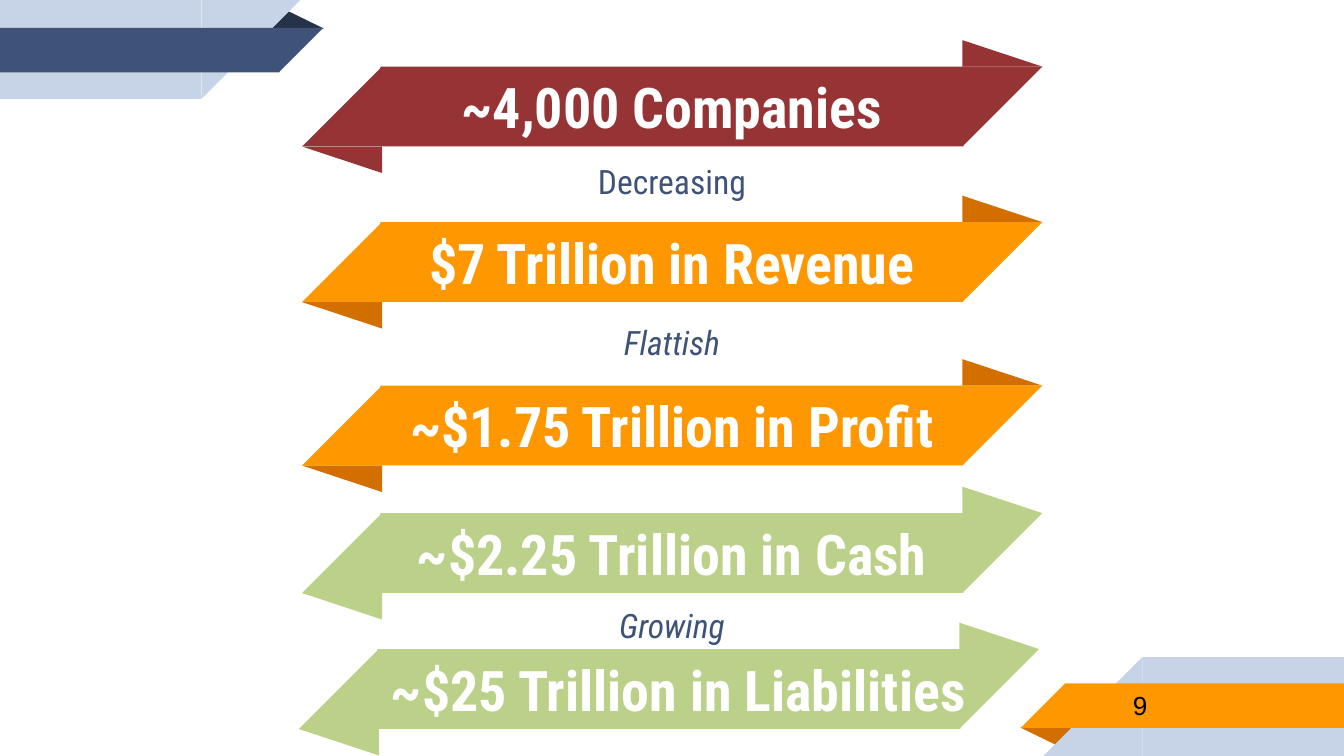
from dataclasses import dataclass
from typing import NamedTuple

from pptx import Presentation
from pptx.dml.color import RGBColor
from pptx.enum.shapes import MSO_SHAPE
from pptx.enum.text import MSO_ANCHOR, PP_ALIGN
from pptx.util import Cm, Pt


@dataclass(frozen=True)
class Theme:
    red: str = "963334"
    orange: str = "FF9800"
    dark_orange: str = "D26F00"
    green: str = "BBD189"
    navy: str = "3F5378"
    dark_navy: str = "263248"
    pale_blue: str = "C7D3E6"
    white: str = "FFFFFF"
    black: str = "000000"
    heading_font: str = "Roboto Condensed"
    number_font: str = "Arial"
    title_size: int = 30
    trend_size: int = 18
    number_size: int = 14


class Box(NamedTuple):
    left: float
    top: float
    width: float
    height: float


class Ribbon(NamedTuple):
    text: str
    left: float
    top: float
    fill: str
    fold: str
    text_width: float = 10.87


class Trend(NamedTuple):
    text: str
    top: float
    height: float
    italic: bool


class Part(NamedTuple):
    kind: MSO_SHAPE
    box: Box
    top_fill: str
    bottom_fill: str


T = Theme()
WIDTH, HEIGHT = 25.4, 14.29
SIDE, FOLD, BODY = 1.51, 0.5, 11.02
BODY_DX, TIP_DX = 1.48, 12.48
TEXT_CENTER = 12.7

RECT = MSO_SHAPE.RECTANGLE
CORNER = MSO_SHAPE.RIGHT_TRIANGLE
TRIANGLE = MSO_SHAPE.ISOSCELES_TRIANGLE

RIBBONS = [
    Ribbon("~4,000 Companies", 5.71, 1.26, T.red, T.red),
    Ribbon("$7 Trillion in Revenue", 5.71, 4.2, T.orange, T.dark_orange),
    Ribbon("~$1.75 Trillion in Profit", 5.71, 7.29, T.orange, T.dark_orange),
    Ribbon("~$2.25 Trillion in Cash", 5.71, 9.7, T.green, T.green),
    Ribbon("~$25 Trillion in Liabilities", 5.65, 12.27, T.green, T.green, 11.89),
]

TRENDS = [
    Trend("Decreasing", 2.77, 1.3, False),
    Trend("Flattish", 5.89, 1.14, True),
    Trend("Growing", 11.25, 1.14, True),
]

CORNER_PARTS = [
    Part(TRIANGLE, Box(5.03, 0.18, 1.09, 0.36), T.dark_navy, T.dark_orange),
    Part(RECT, Box(0, 0, 3.81, 1.87), T.pale_blue, T.pale_blue),
    Part(CORNER, Box(3.81, 0, 1.87, 1.87), T.pale_blue, T.pale_blue),
    Part(RECT, Box(0, 0.53, 5.28, 0.84), T.navy, T.orange),
    Part(CORNER, Box(5.27, 0.53, 0.84, 0.84), T.navy, T.orange),
]


def add_part(shapes, kind: MSO_SHAPE, box: Box, fill: str, turned: bool = False,
             apex: float = 0) -> None:
    sp = shapes.add_shape(kind, *map(Cm, box))
    sp.shadow.inherit = False
    sp.fill.solid()
    sp.fill.fore_color.rgb = RGBColor.from_string(fill)
    sp.line.fill.background()
    if kind == TRIANGLE:
        sp.adjustments[0] = apex
        sp.rotation = 180 if turned else 0
    elif kind == CORNER:
        sp.element.spPr.get_or_add_xfrm().set("flipH" if turned else "flipV", "1")


def add_corner(s, turned: bool) -> None:
    shapes = s.shapes.add_group_shape().shapes
    for part in CORNER_PARTS:
        box = part.box
        if turned:
            box = Box(WIDTH - box.left - box.width, HEIGHT - box.top - box.height,
                      box.width, box.height)
        fill = part.bottom_fill if turned else part.top_fill
        add_part(shapes, part.kind, box, fill, turned, 0.324)


def add_text(s, text: str, box: Box, align: PP_ALIGN, color: str, after: int = 0,
             **font) -> None:
    tf = s.shapes.add_textbox(*map(Cm, box)).text_frame
    frame = {"word_wrap": True, "vertical_anchor": MSO_ANCHOR.MIDDLE}
    frame |= {f"margin_{side}": Cm(0.25) for side in ("left", "top", "right", "bottom")}
    p = tf.paragraphs[0]
    r = p.add_run()
    r.text = text
    r.font.color.rgb = RGBColor.from_string(color)
    paragraph = {"alignment": align, "space_after": Pt(after)}
    for target, values in ((tf, frame), (p, paragraph), (r.font, font)):
        for name, value in values.items():
            setattr(target, name, value)


def add_ribbon(s, ribbon: Ribbon) -> None:
    shapes = s.shapes.add_group_shape().shapes
    left, top = ribbon.left, ribbon.top
    tip = left + TIP_DX
    add_part(shapes, TRIANGLE, Box(tip, top - FOLD, SIDE, FOLD), ribbon.fold)
    add_part(shapes, RECT, Box(left + BODY_DX, top, BODY, SIDE), ribbon.fill)
    add_part(shapes, CORNER, Box(tip, top, SIDE, SIDE), ribbon.fill)
    add_part(shapes, CORNER, Box(left, top, SIDE, SIDE), ribbon.fill, True)
    add_part(shapes, TRIANGLE, Box(left, top + SIDE, SIDE, FOLD), ribbon.fold, True)
    width = ribbon.text_width
    add_text(s, ribbon.text, Box(TEXT_CENTER + left - RIBBONS[0].left - width / 2 if
                                 width < BODY else 6.88, top + 0.02, width, 1.47),
             PP_ALIGN.CENTER, T.white, name=T.heading_font, size=Pt(T.title_size), bold=True)


def add_trend(s, trend: Trend) -> None:
    width = RIBBONS[0].text_width
    add_text(s, trend.text, Box(TEXT_CENTER - width / 2, trend.top, width, trend.height),
             PP_ALIGN.CENTER, T.navy, 10, name=T.heading_font, size=Pt(T.trend_size),
             italic=trend.italic)


def main() -> None:
    prs = Presentation()
    prs.slide_width, prs.slide_height = Cm(WIDTH), Cm(HEIGHT)
    s = prs.slides.add_slide(prs.slide_layouts[6])
    for turned in (True, False):
        add_corner(s, turned)
    for ribbon in RIBBONS:
        add_ribbon(s, ribbon)
    for trend in TRENDS:
        add_trend(s, trend)
    add_text(s, "9", Box(21.16, 12.88, 4.14, 0.89), PP_ALIGN.LEFT, T.black,
             name=T.number_font, size=Pt(T.number_size))
    prs.save("out.pptx")


if __name__ == "__main__":
    main()
